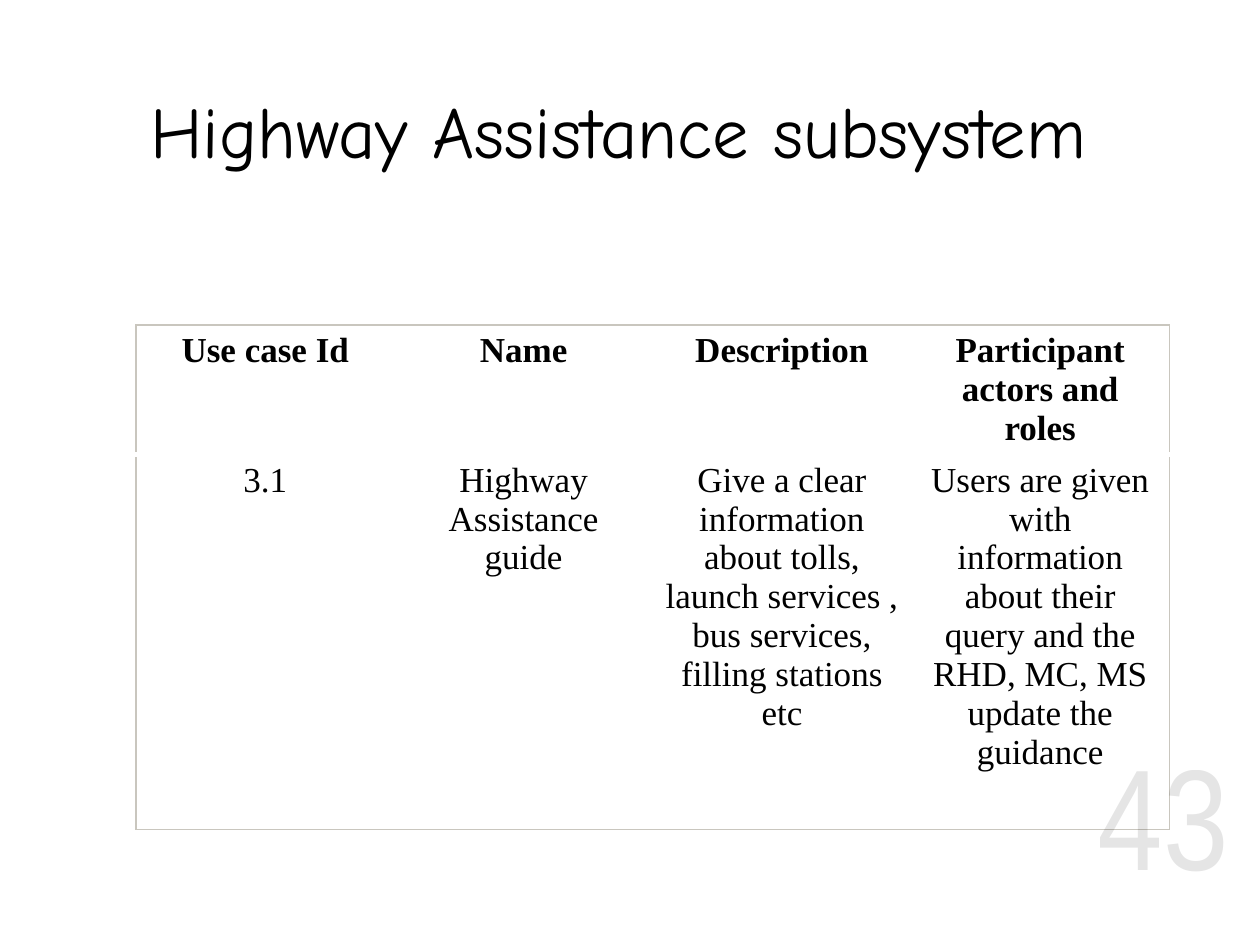
from pptx import Presentation
from pptx.dml.color import RGBColor
from pptx.enum.text import MSO_ANCHOR as Anchor, MSO_AUTO_SIZE as AutoSize, PP_ALIGN as Align
from pptx.oxml import parse_xml
from pptx.oxml.ns import nsdecls
from pptx.util import Pt
from lxml.etree import SubElement

COLORS = {"ink": "000000", "paper": "FFFFFF", "frame": "C9C6BE"}
ROWS = [
    ["Use case Id", "Name", "Description", "Participant actors and roles"],
    ["3.1", "Highway Assistance guide",
     "Give a clear information about tolls, launch services , bus services, filling stations etc",
     "Users are given with information about their query and the RHD, MC, MS update the guidance"],
    [""] * 4,
]
ROW_HEIGHTS = [74, 184.5, 29.5]


class SlideStyle:
    """Holds the fonts and the current slide, and adds each kind of element."""

    title_font = "Comic Neue"
    table_font = "Times New Roman"
    number_font = "Arial Narrow"

    def __init__(self, slide):
        self.slide = slide

    def paint(self, fill, color, alpha=None):
        fill.solid()
        fill.fore_color.rgb = RGBColor.from_string(COLORS[color])
        if alpha is not None:
            tint = fill._xPr.find(".//{*}srgbClr")
            SubElement(tint, tint.tag.replace("srgbClr", "alpha"), val=str(alpha * 1000))

    def add_words(self, frame, words, font, size, align, bold=False, alpha=None):
        line = frame.paragraphs[0]
        line.alignment = align
        run = line.add_run()
        run.text = words
        run.font.name, run.font.size, run.font.bold = font, Pt(size), bold
        self.paint(run.font.fill, "ink", alpha)

    def title(self, words, left, top, width, height):
        heading = self.slide.shapes.title
        heading.left, heading.top, heading.width, heading.height = map(Pt, (left, top, width, height))
        heading.text_frame.auto_size = AutoSize.NONE
        heading.text_frame.vertical_anchor = Anchor.MIDDLE
        self.add_words(heading.text_frame, words, self.title_font, 41.4, Align.CENTER)

    def page_number(self, words, left, top, width, height):
        number = self.slide.shapes.add_textbox(*map(Pt, (left, top, width, height)))
        frame = number.text_frame
        frame.word_wrap = True
        frame.auto_size = AutoSize.NONE
        frame.vertical_anchor = Anchor.MIDDLE
        self.add_words(frame, words, self.number_font, 82, Align.RIGHT, alpha=10)

    def borders(self, cell, edges):
        properties = cell._tc.get_or_add_tcPr()
        for position, side in enumerate("LRTB"):
            color, width = edges.get(side, (None, 0))
            ink = f'<a:solidFill><a:srgbClr val="{COLORS[color]}"/></a:solidFill>' if color else "<a:noFill/>"
            properties.insert(position, parse_xml(
                f'<a:ln{side} {nsdecls("a")} w="{Pt(width)}">{ink}</a:ln{side}>'))

    def table(self, rows, heights, left, top, width):
        last_row, last_column = len(rows) - 1, len(rows[0]) - 1
        grid = self.slide.shapes.add_table(
            len(rows), len(rows[0]), Pt(left), Pt(top), Pt(width), Pt(sum(heights))).table
        grid.horz_banding = False
        for r, (entries, height) in enumerate(zip(rows, heights)):
            grid.rows[r].height = Pt(height)
            for c, entry in enumerate(entries):
                cell = grid.cell(r, c)
                if r == 1:
                    self.paint(cell.fill, "paper", 20)
                else:
                    cell.fill.background()
                if entry:
                    self.add_words(cell.text_frame, entry, self.table_font, 20, Align.CENTER, bold=r == 0)
                outer = {"L": c == 0, "R": c == last_column, "T": r == 0, "B": r == last_row}
                edges = {side: ("frame", 1) for side, present in outer.items() if present}
                if r == 0:
                    edges["B"] = ("paper", 3)
                elif r == 1:
                    edges["T"] = ("paper", 3)
                self.borders(cell, edges)


def main():
    """Build and save the Highway Assistance slide."""
    deck = Presentation()
    deck.slide_width, deck.slide_height = Pt(720), Pt(540)
    page = SlideStyle(deck.slides.add_slide(deck.slide_layouts[5]))
    page.title("Highway Assistance subsystem", -2, 39.6, 710.6, 68.4)
    page.table(ROWS, ROW_HEIGHTS, 77.8, 185.8, 590.4)
    page.page_number("43", 592.6, 431.3, 116.6, 67)
    deck.save("out.pptx")


if __name__ == "__main__":
    main()
